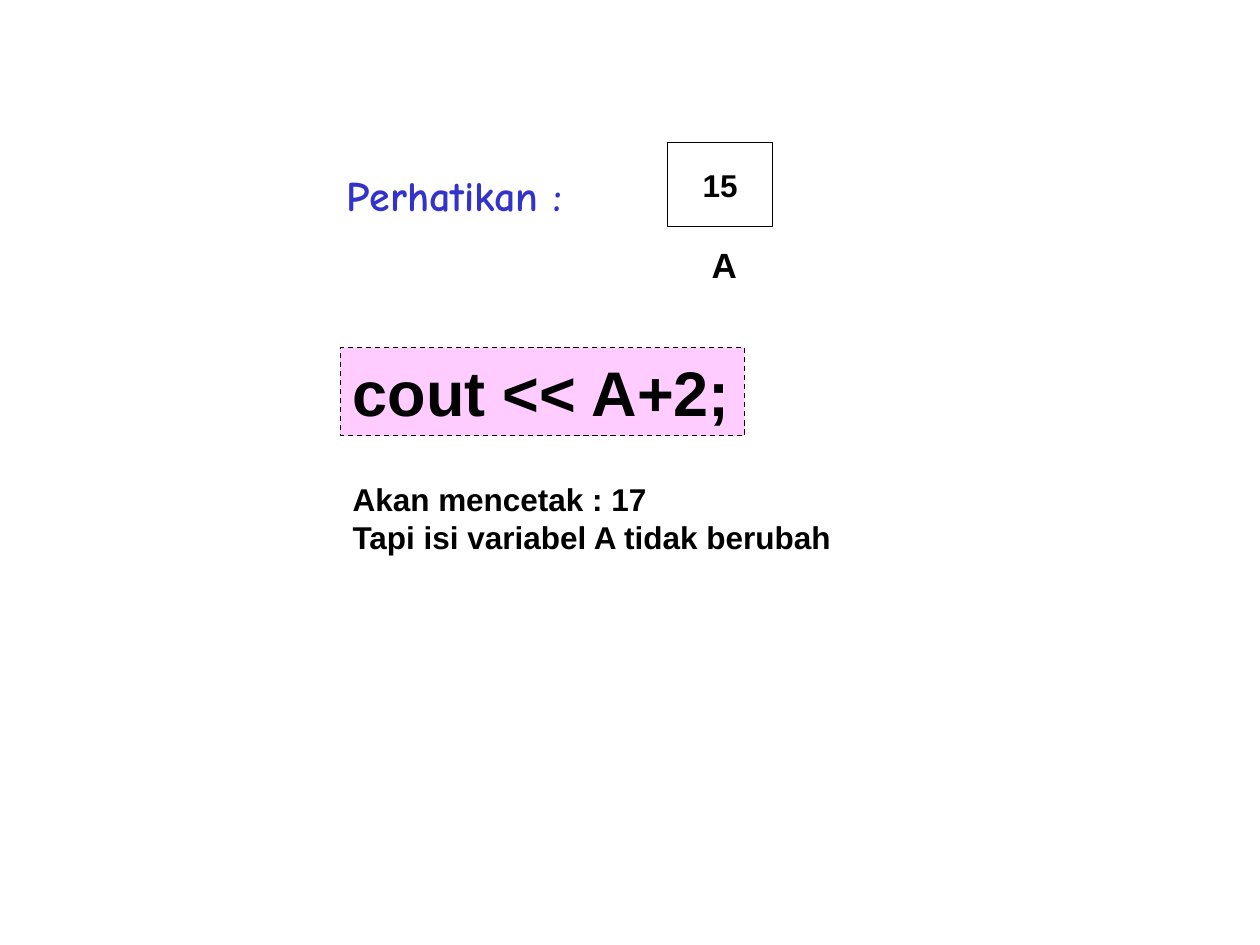
"""Build a slide showing that cout << A+2 leaves variable A unchanged."""
from pptx import Presentation
from pptx.dml.color import RGBColor
from pptx.enum import dml, shapes, text
from pptx.util import Inches, Pt

COLORS = {"black": "000000", "blue": "3333CC", "pink": "FFCCFF"}
LEFT, TOP = text.PP_ALIGN.LEFT, text.MSO_ANCHOR.TOP
GROW, FIXED = text.MSO_AUTO_SIZE.SHAPE_TO_FIT_TEXT, text.MSO_AUTO_SIZE.NONE


def rgb(name):
    return RGBColor.from_string(COLORS[name])


def write(s, lines, size, font="Arial", color="black", align=LEFT, anchor=TOP, fit=GROW):
    tf = s.text_frame
    frame = {"word_wrap": False, "auto_size": fit, "vertical_anchor": anchor}
    for name, value in frame.items():
        setattr(tf, name, value)
    style = {"name": font, "size": Pt(size), "bold": True}
    for i, line in enumerate(lines):
        p = tf.add_paragraph() if i else tf.paragraphs[0]
        p.alignment = align
        r = p.add_run()
        r.text = line
        for name, value in style.items():
            setattr(r.font, name, value)
        r.font.color.rgb = rgb(color)


prs = Presentation()
prs.slide_width, prs.slide_height = Inches(10), Inches(7.5)
slide = prs.slides.add_slide(prs.slide_layouts[6])

heading = slide.shapes.add_textbox(*map(Inches, (2.65, 1.3, 1.92, 0.5)))
write(heading, ["Perhatikan :"], 24, "Comic Neue", "blue")

rect = shapes.MSO_SHAPE.RECTANGLE
value_box = slide.shapes.add_shape(rect, *map(Inches, (5.3, 1.13, 0.83, 0.67)))
variable = slide.shapes.add_textbox(*map(Inches, (5.55, 1.88, 0.4, 0.44)))
code_box = slide.shapes.add_shape(rect, *map(Inches, (2.7, 2.76, 3.21, 0.7)))
for s in (value_box, code_box):
    s.shadow.inherit = False
    s.line.color.rgb = rgb("black")
    s.line.width = Pt(0.75)
value_box.fill.background()
code_box.fill.solid()
code_box.fill.fore_color.rgb = rgb("pink")
code_box.line.dash_style = dml.MSO_LINE.DASH

write(value_box, ["15"], 18, align=text.PP_ALIGN.CENTER,
      anchor=text.MSO_ANCHOR.MIDDLE, fit=FIXED)
write(variable, ["A"], 20)
write(code_box, ["cout << A+2;"], 36)

result = slide.shapes.add_textbox(*map(Inches, (2.7, 3.76, 4.03, 0.7)))
write(result, ["Akan mencetak : 17", "Tapi isi variabel A tidak berubah"], 18)

prs.save("out.pptx")
